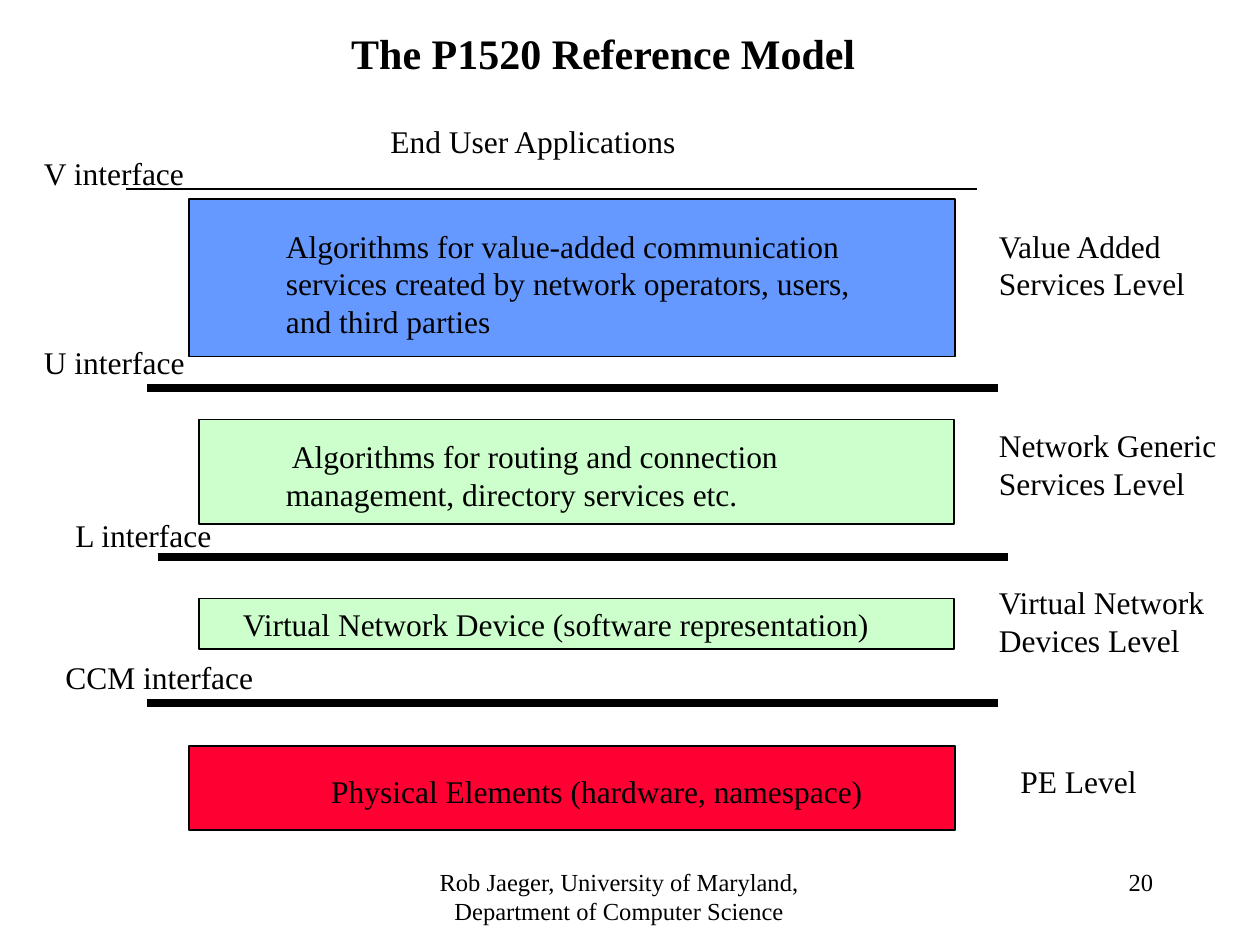
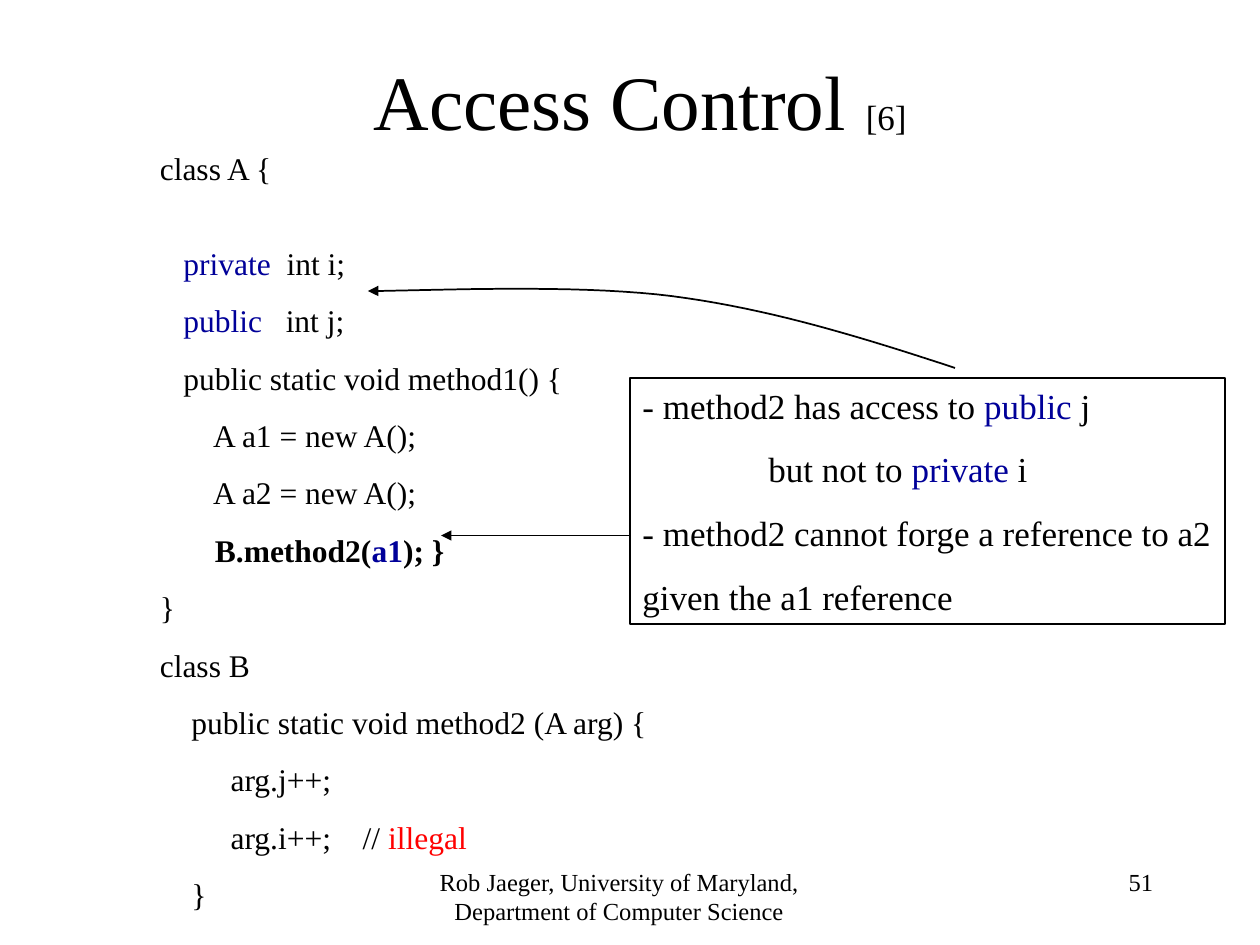
from dataclasses import dataclass
from typing import NamedTuple

import lxml.etree
import pptx
import pptx.dml.color
import pptx.enum.shapes
import pptx.enum.text
import pptx.oxml.ns
import pptx.util

Inches = pptx.util.Inches
Pt = pptx.util.Pt
Align = pptx.enum.text.PP_ALIGN
Anchor = pptx.enum.text.MSO_ANCHOR

FONT = "Times New Roman"
BLACK, NAVY, RED = "000000", "000099", "FF0000"
BLUE_FILL, GREEN_FILL, RED_FILL = "6699FF", "CCFFCC", "FF0033"
FOOTER = "Rob Jaeger, University of Maryland, Department of Computer Science"
TITLE_ONLY = 5


class Area(NamedTuple):
    left: float
    top: float
    width: float
    height: float

    def lengths(self) -> list:
        return [Inches(value) for value in self]


class Run(NamedTuple):
    text: str
    color: str = BLACK
    bold: bool = False
    size: float | None = None


@dataclass
class Paragraph:
    runs: tuple
    before: float | None = None
    indent: float = 0


@dataclass
class Level:
    area: Area
    fill: str
    content: str
    content_area: Area
    name: str
    name_area: Area
    wrap: bool = True


@dataclass
class Interface:
    name: str
    area: Area
    left: float
    y: float
    weight: float = 4.5


def line_of(*parts, **options) -> Paragraph:
    runs = tuple(Run(part) if isinstance(part, str) else part for part in parts)
    return Paragraph(runs, **options)


def rgb(color: str):
    return pptx.dml.color.RGBColor.from_string(color)


def write(frame, text, *, size=18, bold=False, align=Align.LEFT,
          anchor=Anchor.TOP, wrap=True, before=0) -> None:
    frame.word_wrap = wrap
    frame.auto_size = pptx.enum.text.MSO_AUTO_SIZE.NONE
    frame.vertical_anchor = anchor
    content = [line_of(text)] if isinstance(text, str) else text
    for index, entry in enumerate(content):
        paragraph = frame.add_paragraph() if index else frame.paragraphs[0]
        paragraph.alignment = align
        gap = before if entry.before is None else entry.before
        paragraph.space_before = Pt(gap if index else 0)
        if entry.indent:
            paragraph._p.get_or_add_pPr().set("marL", str(Inches(entry.indent)))
        for part in entry.runs:
            run = paragraph.add_run()
            run.text = part.text
            run.font.name = FONT
            run.font.size = Pt(part.size or size)
            run.font.bold = bold or part.bold
            run.font.color.rgb = rgb(part.color)


def add_text(slide, area: Area, text, **style) -> None:
    write(slide.shapes.add_textbox(*area.lengths()).text_frame, text, **style)


def set_line(shape, weight: float = 1, arrow: bool = False) -> None:
    shape.line.color.rgb = rgb(BLACK)
    shape.line.width = Pt(weight)
    if arrow:
        outline = shape.line._get_or_add_ln()
        lxml.etree.SubElement(outline, pptx.oxml.ns.qn("a:tailEnd"), type="triangle")


def add_box(slide, area: Area, fill: str | None = None):
    box = slide.shapes.add_shape(
        pptx.enum.shapes.MSO_SHAPE.RECTANGLE, *area.lengths())
    box.shadow.inherit = False
    if fill:
        box.fill.solid()
        box.fill.fore_color.rgb = rgb(fill)
    else:
        box.fill.background()
    set_line(box)
    return box


def add_rule(slide, start: tuple, end: tuple, weight: float = 1,
             arrow: bool = False) -> None:
    rule = slide.shapes.add_connector(
        pptx.enum.shapes.MSO_CONNECTOR.STRAIGHT,
        *[Inches(value) for value in (*start, *end)])
    set_line(rule, weight, arrow)
    lxml.etree.SubElement(rule._element.spPr, pptx.oxml.ns.qn("a:effectLst"))


def bezier(points: tuple, steps: int = 20) -> list:
    a, b, c, d = points
    curve = []
    for step in range(1, steps + 1):
        t = step / steps
        u = 1 - t
        curve.append(tuple(
            Inches(u**3 * p + 3 * u * u * t * q + 3 * u * t * t * r + t**3 * s)
            for p, q, r, s in zip(a, b, c, d)))
    return curve


def add_curved_arrow(slide, segments: list) -> None:
    start = segments[0][0]
    builder = slide.shapes.build_freeform(Inches(start[0]), Inches(start[1]))
    for segment in segments:
        builder.add_line_segments(bezier(segment), close=False)
    arrow = builder.convert_to_shape()
    arrow.shadow.inherit = False
    arrow.fill.background()
    set_line(arrow, arrow=True)


def add_slide(deck, title, title_area: Area, number: int, **title_style):
    slide = deck.slides.add_slide(deck.slide_layouts[TITLE_ONLY])
    heading = slide.shapes.title
    heading.left, heading.top, heading.width, heading.height = title_area.lengths()
    write(heading.text_frame, title, align=Align.CENTER, anchor=Anchor.MIDDLE,
          **title_style)
    add_text(slide, Area(3, 6.83, 3.83, 0.5), FOOTER, size=14, align=Align.CENTER)
    add_text(slide, Area(7.17, 6.83, 2.08, 0.5), str(number), size=14,
             align=Align.RIGHT)
    return slide


LEVELS = [
    Level(Area(1.5, 1.58, 6.08, 1.25), BLUE_FILL,
          "Algorithms for value-added communication services created by "
          "network operators, users, and third parties",
          Area(2.17, 1.75, 4.75, 1),
          "Value Added Services Level", Area(7.83, 1.75, 2.17, 0.7)),
    Level(Area(1.58, 3.33, 5.99, 0.83), GREEN_FILL,
          " Algorithms for routing and connection management, "
          "directory services etc.",
          Area(2.17, 3.42, 5.17, 0.7),
          "Network Generic Services Level", Area(7.83, 3.33, 2.17, 0.7)),
    Level(Area(1.58, 4.75, 5.99, 0.4), GREEN_FILL,
          "Virtual Network Device (software representation)",
          Area(1.83, 4.75, 5.19, 0.4),
          "Virtual Network Devices Level", Area(7.83, 4.58, 2.17, 0.7), wrap=False),
    Level(Area(1.5, 5.92, 6.08, 0.67), RED_FILL,
          "Physical Elements (hardware, namespace)",
          Area(2.53, 6.08, 4.42, 0.4),
          "PE Level", Area(8, 6, 1.42, 0.4), wrap=False),
]

INTERFACE_LENGTH = 6.75
INTERFACES = [
    Interface("V interface", Area(0.25, 1.17, 1.58, 0.4), 1, 1.5, weight=1),
    Interface("U interface", Area(0.25, 2.67, 1.58, 0.4), 1.17, 3.08),
    Interface("L interface", Area(0.5, 4.05, 1.42, 0.4), 1.25, 4.42),
    Interface("CCM interface", Area(0.42, 5.17, 1.8, 0.4), 1.17, 5.58),
]

CODE = [
    line_of("class A {"),
    line_of("   ", Run("private", NAVY), "  int i;", before=32.6),
    line_of("   ", Run("public", NAVY), "   int j;"),
    line_of("   public static void method1() {"),
    line_of("       A a1 = new A();"),
    line_of("       A a2 = new A();"),
    line_of("       ", Run("B.method2(", bold=True), Run("a1", NAVY, True),
            Run("); }", bold=True)),
    line_of("}"),
    line_of("class B"),
    line_of("    public static void method2 (A arg) {"),
    line_of("         arg.j++;"),
    line_of("         arg.i++;    // ", Run("illegal", RED)),
    line_of("    }"),
]

ACCESS_RULES = [
    line_of("- method2 has access to ", Run("public", NAVY), " j"),
    line_of("but not to ", Run("private", NAVY), " i", indent=1),
    line_of("- method2 cannot forge a reference to a2"),
    line_of("given the a1 reference"),
]

PUBLIC_FIELD_CURVE = [
    ((7.58, 2.92), (6.85, 2.68), (6.11, 2.45), (5.33, 2.35)),
    ((5.33, 2.35), (4.55, 2.25), (3.32, 2.31), (2.92, 2.31)),
]


def build_reference_model(deck) -> None:
    slide = add_slide(deck, "The P1520 Reference Model ",
                      Area(0.58, 0.08, 8.5, 0.67), 20, size=24, bold=True)
    add_text(slide, Area(3, 0.92, 3.75, 0.4), "End User Applications")
    for level in LEVELS:
        add_box(slide, level.area, level.fill)
        add_text(slide, level.content_area, level.content, wrap=level.wrap)
        add_text(slide, level.name_area, level.name)
    for interface in INTERFACES:
        add_rule(slide, (interface.left, interface.y),
                 (interface.left + INTERFACE_LENGTH, interface.y), interface.weight)
        add_text(slide, interface.area, interface.name)


def build_access_control(deck) -> None:
    title = [line_of("Access Control ", Run("[6]", size=20))]
    slide = add_slide(deck, title, Area(0.83, 0.33, 8.5, 0.92), 51, size=44)
    add_text(slide, Area(1.17, 1.13, 4.25, 6.17), CODE, anchor=Anchor.MIDDLE,
             before=11.2)
    rules = add_box(slide, Area(5, 3, 4.72, 1.95))
    write(rules.text_frame, ACCESS_RULES, size=20, anchor=Anchor.MIDDLE,
          wrap=False, before=12.5)
    add_curved_arrow(slide, PUBLIC_FIELD_CURVE)
    add_rule(slide, (5, 4.25), (3.5, 4.25), arrow=True)


def main() -> None:
    deck = pptx.Presentation()
    deck.slide_width, deck.slide_height = Inches(10), Inches(7.5)
    build_reference_model(deck)
    build_access_control(deck)
    deck.save("out.pptx")


if __name__ == "__main__":
    main()
